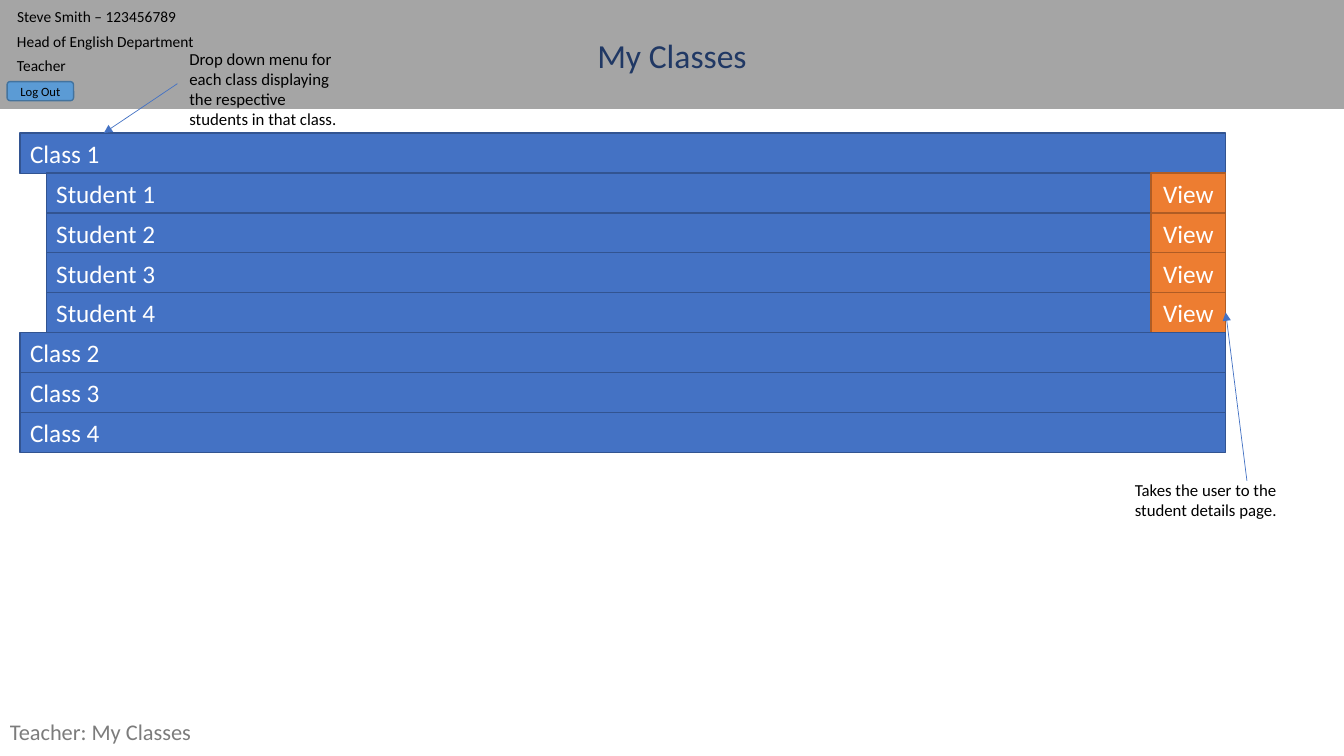
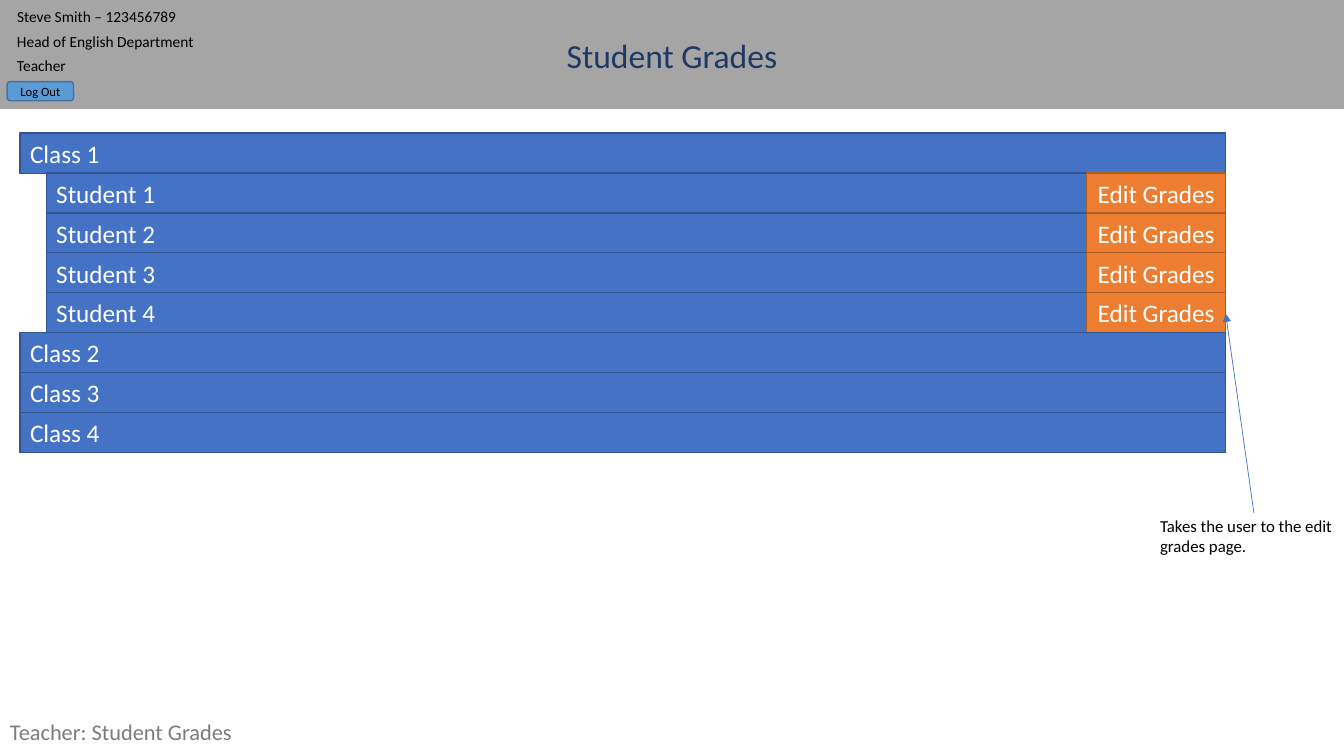
"""Build the teacher class-list and student-grade mockup slides."""
from dataclasses import dataclass, field
from typing import Any, NamedTuple

from lxml import etree
from pptx import Presentation
from pptx.dml.color import RGBColor
from pptx.enum.shapes import MSO_AUTO_SHAPE_TYPE, MSO_CONNECTOR
from pptx.enum.text import MSO_ANCHOR, MSO_AUTO_SIZE, PP_ALIGN
from pptx.oxml.ns import qn
from pptx.util import Inches, Pt

RECT, ROUND = MSO_AUTO_SHAPE_TYPE.RECTANGLE, MSO_AUTO_SHAPE_TYPE.ROUNDED_RECTANGLE
STRAIGHT = MSO_CONNECTOR.STRAIGHT
LEFT, CENTER = PP_ALIGN.LEFT, PP_ALIGN.CENTER
TOP, MIDDLE = MSO_ANCHOR.TOP, MSO_ANCHOR.MIDDLE
FIXED, GROW = MSO_AUTO_SIZE.NONE, MSO_AUTO_SIZE.SHAPE_TO_FIT_TEXT
TITLE_ONLY = 5
WIDTH, HEIGHT = Inches(40 / 3), Inches(7.5)

BLUE, BLUE_EDGE = "4472C4", "325491"
ORANGE, ORANGE_EDGE = "ED7D31", "AF5C24"
SKY, SKY_EDGE = "5B9BD5", "43739E"
GREY, MUTED, NAVY = "A5A5A5", "7C7C7C", "203864"
WHITE, BLACK = "FFFFFF", "000000"


class Point(NamedTuple):
    """A position in percent of the slide's width and height."""
    x: float
    y: float


class Box(NamedTuple):
    """A frame in percent of the slide's width and height."""
    x: float
    y: float
    w: float
    h: float


@dataclass(frozen=True)
class Style:
    """Text formatting for one role."""
    size: float
    color: str
    paragraph: dict[str, Any] = field(default_factory=lambda: {"alignment": LEFT})
    frame: dict[str, Any] = field(
        default_factory=lambda: {"vertical_anchor": TOP, "auto_size": GROW})


@dataclass(frozen=True)
class Look:
    """Outline, fill and text style of a preset shape."""
    kind: MSO_AUTO_SHAPE_TYPE
    fill: str
    edge: str | None
    style: Style


@dataclass(frozen=True)
class Note:
    """An annotation and the arrow leading from it."""
    text: str
    box: Box
    start: Point
    end: Point


@dataclass(frozen=True)
class Page:
    """What differs from one slide to the next."""
    title: str
    footer_width: float
    action: str
    action_width: float
    notes: list[Note]


CENTERED = {"alignment": CENTER}
MID = {"vertical_anchor": MIDDLE, "auto_size": FIXED}
TITLE = Style(24, NAVY, CENTERED)
IDENTITY, NOTE = Style(11, BLACK), Style(12, BLACK)
FOOTER = Style(16, MUTED, {"alignment": LEFT, "line_spacing": 0.9}, MID)
BAND = Look(RECT, GREY, None, TITLE)
ROW = Look(RECT, BLUE, BLUE_EDGE, Style(18, WHITE, frame=MID))
ACTION = Look(RECT, ORANGE, ORANGE_EDGE, Style(18, WHITE, CENTERED, MID))
LOG_OUT = Look(ROUND, SKY, SKY_EDGE, Style(9, BLACK, CENTERED, MID))

ROW_TOP, ROW_STEP, ROW_HEIGHT = 17.6, 5.28, 5.33
ROW_RIGHT, CLASS_LEFT, STUDENT_LEFT = 91.2, 1.5, 3.45
HEADER_LEFT, LINE_TOP, LINE_STEP, LINE_HEIGHT = 0.53, 0.27, 3.27, 3.87
ROWS = ["Class 1", *(f"Student {n}" for n in range(1, 5)),
        *(f"Class {n}" for n in range(2, 5))]
USER = [("Steve Smith – 123456789", 19.28), ("Head of English Department", 15.45),
        ("Teacher", 7.2)]

PAGES = [
    Page("My Classes", 15.3, "View", 5.55, [
        Note("Takes the user to the student details page.",
             Box(83.7, 62.8, 15.83, 6.67), Point(92.78, 63.6), Point(ROW_RIGHT, 41.33)),
        Note("Drop down menu for each class displaying the respective students in that class.",
             Box(13.35, 5.73, 12.9, 12.13), Point(13.2, 11.07), Point(7.73, ROW_TOP)),
    ]),
    Page("Student Grades", 19.73, "Edit Grades", 10.35, [
        Note("Takes the user to the edit grades page.",
             Box(85.58, 67.6, 14.48, 6.67), Point(93.3, 67.87), Point(ROW_RIGHT, 41.47)),
    ]),
]


def rgb(color: str) -> RGBColor:
    """Turn a hex string into a colour."""
    return RGBColor.from_string(color)


def apply(target: Any, values: dict[str, Any]) -> None:
    """Set each named value on the target."""
    for name, value in values.items():
        setattr(target, name, value)


def emu(*shares: float) -> list[int]:
    """Convert alternating width and height percentages to lengths."""
    return [round(s * (HEIGHT if i % 2 else WIDTH) / 100) for i, s in enumerate(shares)]


def write(sp: Any, text: str, style: Style) -> None:
    """Fill a shape with one styled paragraph."""
    tf = sp.text_frame
    apply(tf, {"word_wrap": True, **style.frame})
    p = tf.paragraphs[0]
    apply(p, style.paragraph)
    r = p.add_run()
    r.text = text
    apply(r.font, {"name": "Calibri", "size": Pt(style.size)})
    r.font.color.rgb = rgb(style.color)


def add_text(shapes: Any, text: str, box: Box, style: Style) -> None:
    """Add a wrapped text box."""
    write(shapes.add_textbox(*emu(*box)), text, style)


def add_block(shapes: Any, box: Box, look: Look, text: str = "") -> None:
    """Add a filled shape with an optional label."""
    sp = shapes.add_shape(look.kind, *emu(*box))
    sp.shadow.inherit = False
    sp.fill.solid()
    sp.fill.fore_color.rgb = rgb(look.fill)
    if look.edge:
        sp.line.color.rgb = rgb(look.edge)
        sp.line.width = Pt(1)
    else:
        sp.line.fill.background()
    if text:
        write(sp, text, look.style)


def add_arrow(shapes: Any, start: Point, end: Point) -> None:
    """Add a thin arrow pointing at its end."""
    sp = shapes.add_connector(STRAIGHT, *emu(*start, *end))
    sp.line.color.rgb = rgb(BLUE)
    sp.line.width = Pt(0.5)
    etree.SubElement(sp.line._get_or_add_ln(), qn("a:tailEnd"), type="triangle")
    etree.SubElement(sp._element.spPr, qn("a:effectLst"))


def add_rows(shapes: Any, page: Page) -> None:
    """Stack the class and student rows with their action buttons."""
    for i, label in enumerate(ROWS):
        student = label.startswith("Student")
        left = STUDENT_LEFT if student else CLASS_LEFT
        y = ROW_TOP + i * ROW_STEP
        add_block(shapes, Box(left, y, ROW_RIGHT - left, ROW_HEIGHT), ROW, label)
        if student:
            box = Box(ROW_RIGHT - page.action_width, y, page.action_width, ROW_HEIGHT)
            add_block(shapes, box, ACTION, page.action)


def add_header(shapes: Any, title: str) -> None:
    """Group the band with the user's details and set the title over it."""
    group = shapes.add_group_shape().shapes
    add_block(group, Box(0, 0, 100, 14.4), BAND)
    for i, (text, width) in enumerate(USER):
        box = Box(HEADER_LEFT, LINE_TOP + i * LINE_STEP, width, LINE_HEIGHT)
        add_text(group, text, box, IDENTITY)
    add_block(group, Box(HEADER_LEFT, 10.8, 4.95, 2.53), LOG_OUT, "Log Out")
    sp = shapes.title
    apply(sp, dict(zip(("left", "top", "width", "height"), emu(0, 4, 100, 6.67))))
    write(sp, title, TITLE)
    sp._element.getparent().append(sp._element)


def build() -> None:
    """Create and save the presentation."""
    prs = Presentation()
    apply(prs, {"slide_width": WIDTH, "slide_height": HEIGHT})
    for page in PAGES:
        shapes = prs.slides.add_slide(prs.slide_layouts[TITLE_ONLY]).shapes
        add_text(shapes, f"Teacher: {page.title}", Box(0, 94, page.footer_width, 6), FOOTER)
        add_rows(shapes, page)
        add_header(shapes, page.title)
        for note in page.notes:
            add_arrow(shapes, note.start, note.end)
            add_text(shapes, note.text, note.box, NOTE)
    prs.save("out.pptx")


build()
